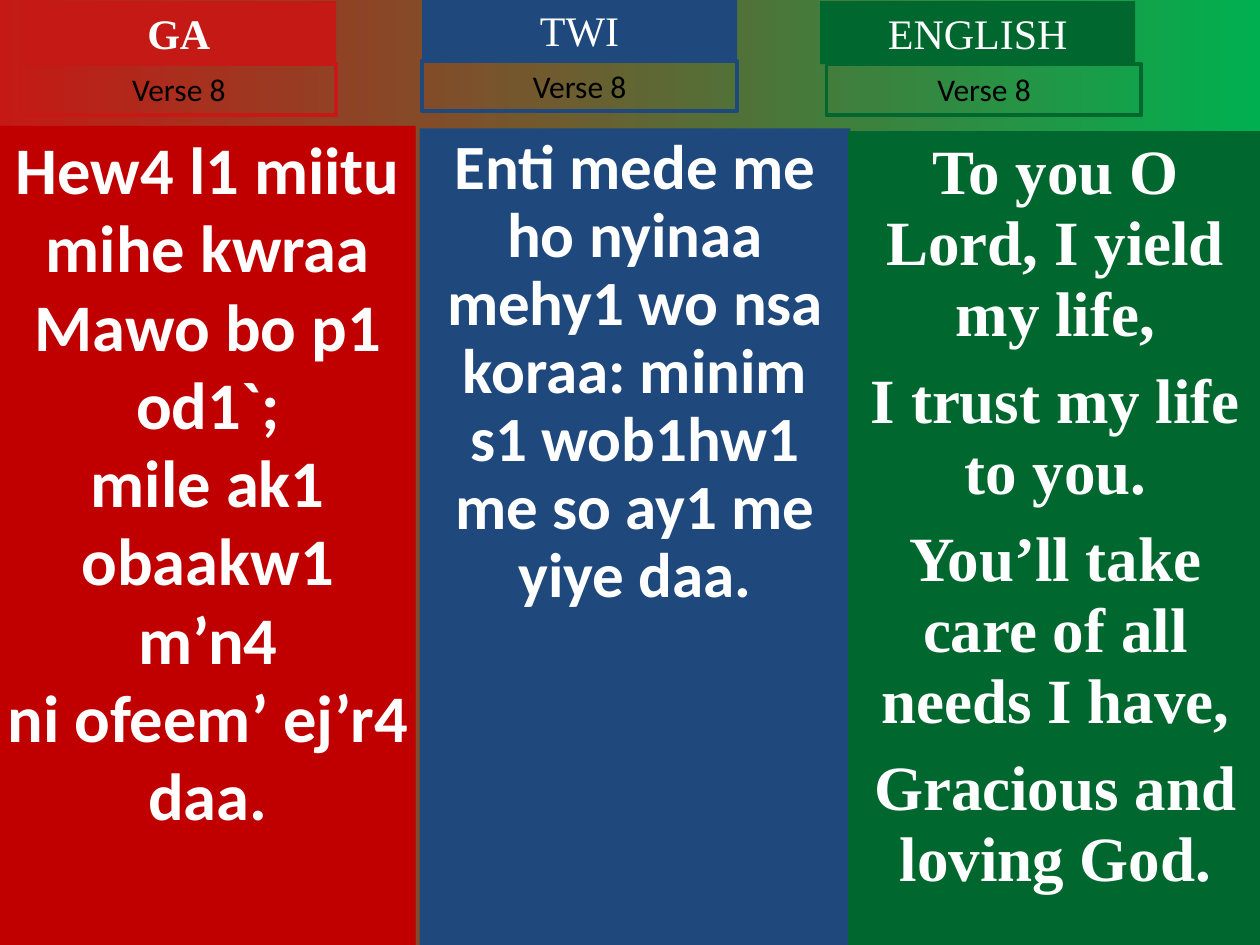
"""Build a hymn slide with verse 8 in Ga, Twi and English."""
import pptx
import pptx.dml.color
import pptx.enum.shapes
import pptx.enum.text
import pptx.util

Pt = pptx.util.Pt


def color(value):
    """Turn a hex string into a colour."""
    return pptx.dml.color.RGBColor.from_string(value)


def add_box(slide, bounds, lines, font_format, paragraph_format, fill=None, outline=None, side_inset=7.2):
    """Add a rectangle with centred text."""
    shape = slide.shapes.add_shape(
        pptx.enum.shapes.MSO_SHAPE.RECTANGLE, *[Pt(length) for length in bounds]
    )
    shape.shadow.inherit = False
    if fill:
        shape.fill.solid()
        shape.fill.fore_color.rgb = color(fill)
    else:
        shape.fill.background()
    if outline:
        shape.line.color.rgb = color(outline)
        shape.line.width = Pt(2.25)
    else:
        shape.line.fill.background()
    frame = shape.text_frame
    frame.word_wrap = True
    frame.vertical_anchor = pptx.enum.text.MSO_ANCHOR.TOP
    frame.margin_left = frame.margin_right = Pt(side_inset)
    for index, line in enumerate(lines):
        paragraph = frame.paragraphs[0] if index == 0 else frame.add_paragraph()
        paragraph.alignment = pptx.enum.text.PP_ALIGN.CENTER
        for name, value in paragraph_format.items():
            if index or name != "space_before":
                setattr(paragraph, name, value)
        run = paragraph.add_run()
        run.text = line
        run.font.color.rgb = color("FFFFFF" if fill else "000000")
        for name, value in font_format.items():
            setattr(run.font, name, value)


presentation = pptx.Presentation()
presentation.slide_width = Pt(720)
presentation.slide_height = Pt(540)
slide = presentation.slides.add_slide(presentation.slide_layouts[6])

background = slide.background.fill
background.gradient()
background.gradient_angle = 0
for stop, value in zip(background.gradient_stops, ("C51915", "00B050")):
    stop.color.rgb = color(value)

verses = [
    {
        "bounds": (0, 72, 237.6, 468),
        "fill": "C00000",
        "lines": ["Hew4 l1 miitu mihe kwraa", "Mawo bo p1 od1`;", "mile ak1 obaakw1 m’n4", "ni ofeem’ ej’r4 daa."],
        "font_format": {"name": "Calibri", "size": Pt(38), "bold": True},
        "paragraph_format": {"line_spacing": 0.98},
        "side_inset": 3.6,
    },
    {
        "bounds": (239.8, 73.4, 246.2, 466.6),
        "fill": "1F497D",
        "lines": ["Enti mede me ho nyinaa mehy1 wo nsa koraa: minim s1 wob1hw1 me so ay1 me yiye daa."],
        "font_format": {"name": "Calibri", "size": Pt(36), "bold": True},
        "paragraph_format": {"line_spacing": 0.9},
    },
    {
        "bounds": (484.6, 74.9, 236.9, 465.1),
        "fill": "00682F",
        "lines": [
            "To you O Lord, I yield my life,",
            "I trust my life to you.",
            "You’ll take care of all needs I have,",
            "Gracious and loving God.",
        ],
        "font_format": {"name": "Times New Roman", "size": Pt(36), "bold": True},
        "paragraph_format": {"line_spacing": 0.94, "space_before": Pt(9)},
    },
]
for verse in verses:
    add_box(slide, **verse)

headings = [
    ("GA", "C51915", True, (12.2, 0.7), (12.2, 36.7)),
    ("TWI", "1F497D", False, (241.2, -0.7), (241.2, 34.6)),
    ("ENGLISH", "00682F", False, (468.7, 0.7), (472.3, 36.7)),
]
for language, accent, bold, heading_place, label_place in headings:
    heading_format = {"name": "Times New Roman", "size": Pt(24), "bold": bold}
    label_format = {"name": "Calibri", "size": Pt(18), "bold": False}
    add_box(slide, (*heading_place, 180, 36), [language], heading_format, {}, fill=accent)
    add_box(slide, (*label_place, 180, 29), ["Verse 8"], label_format, {}, outline=accent)

presentation.save("out.pptx")
